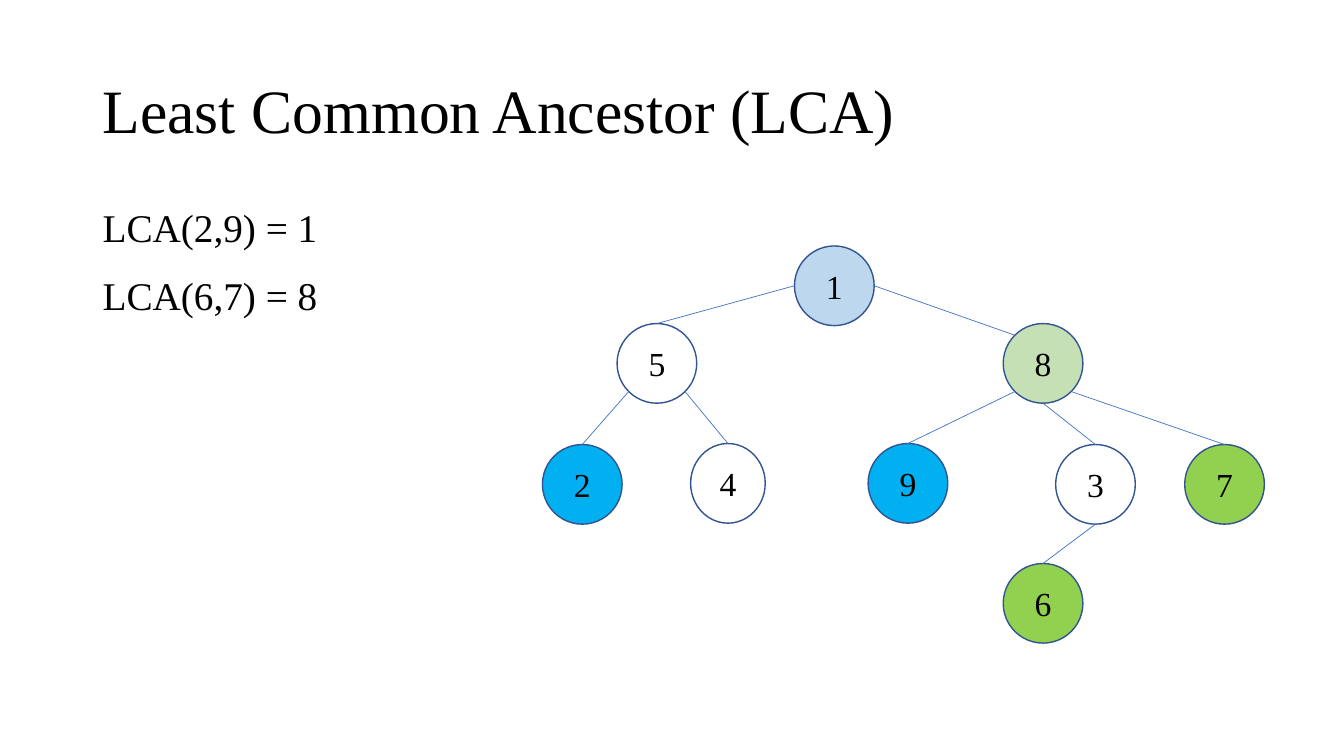
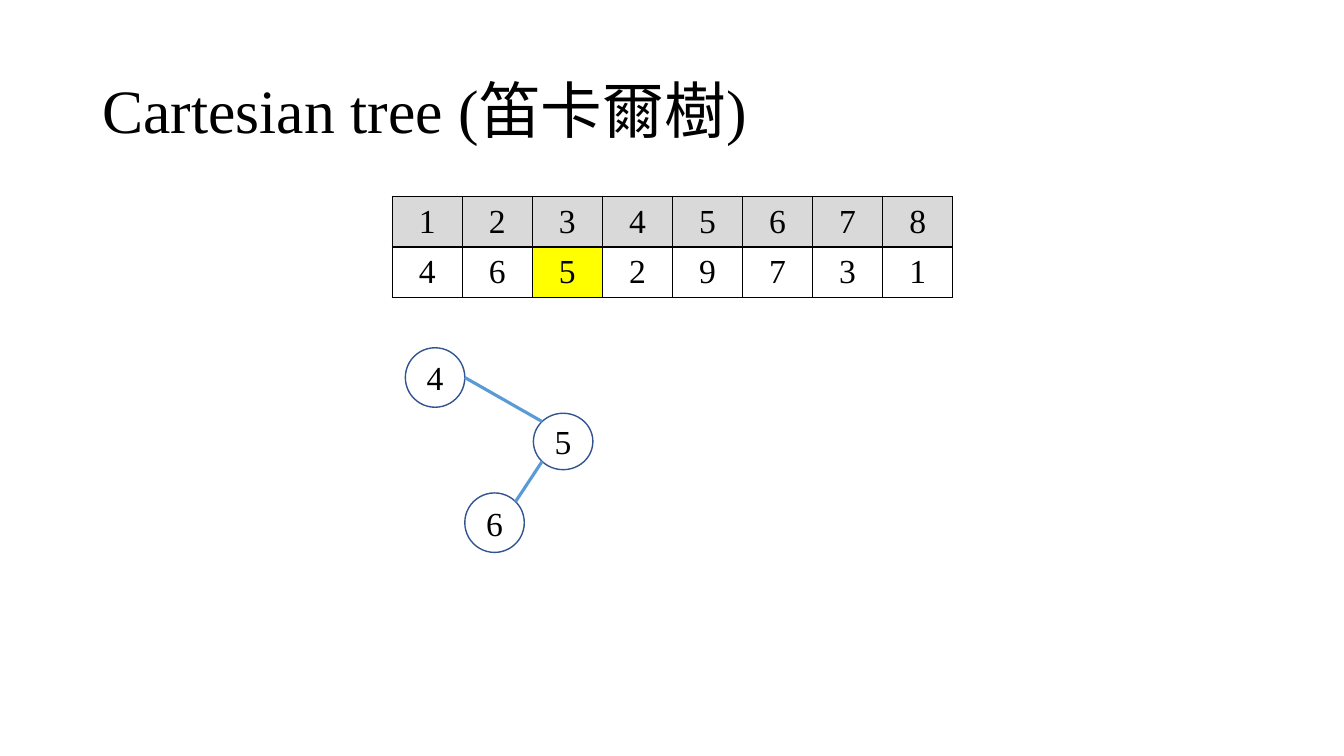
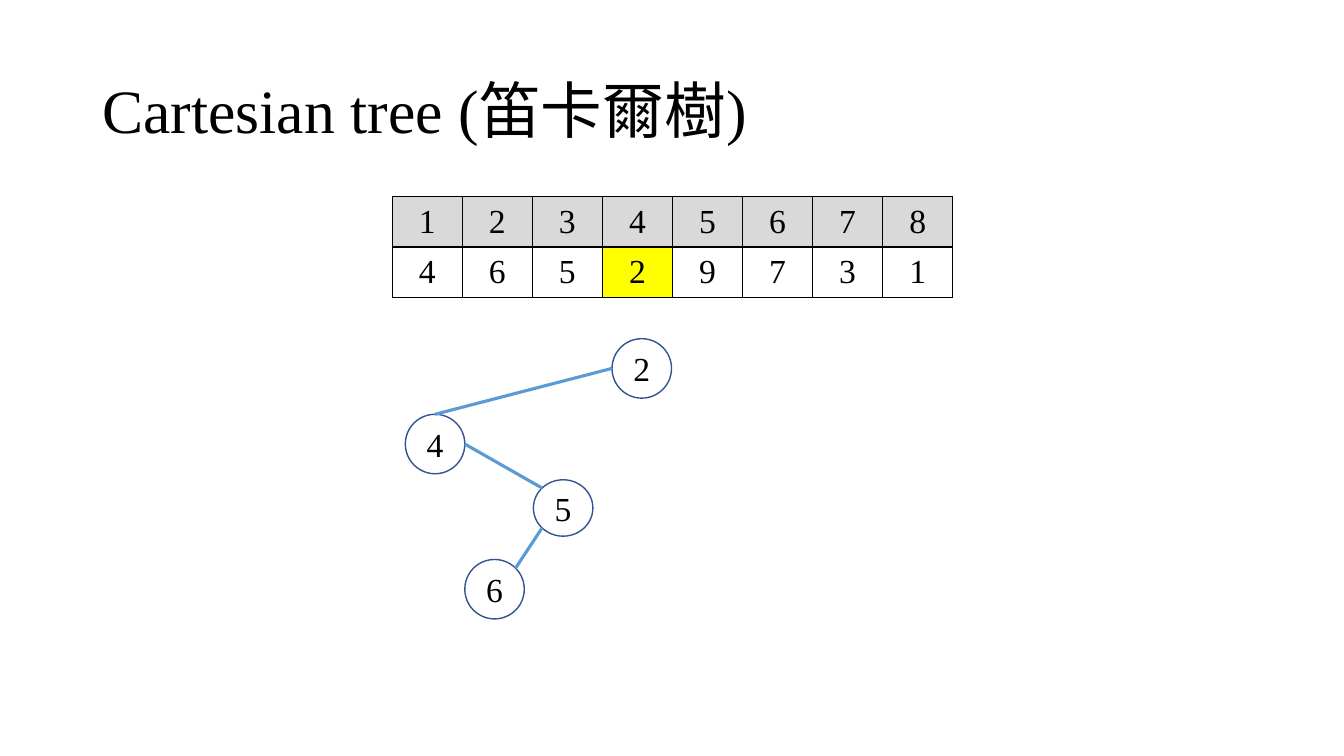
import math

from lxml import etree
from pptx import Presentation
from pptx import util as u
from pptx.dml.color import RGBColor
from pptx.enum import shapes, text
from pptx.oxml import ns

PX = 9144  # one hundredth of an inch
FONT = "Times New Roman"
CJK_FONT = "Noto Sans CJK SC"
COLORS = {
    "text": "000000",
    "white": "FFFFFF",
    "outline": "325491",
    "thin_edge": "4472C4",
    "thick_edge": "5B9BD5",
    "ancestor_blue": "BDD7EE",
    "blue": "00B0F0",
    "ancestor_green": "C5E0B4",
    "green": "92D050",
    "header": "D9D9D9",
    "current": "FFFF00",
}
# Directions of the points on a node where edges meet it, y pointing down
SITES = {"right": 0, "bottom right": 45, "bottom": 90, "bottom left": 135,
         "left": 180, "top left": 225, "top": 270, "top right": 315}

# label: (left, top, width, height, fill)
LCA_NODES = {
    "1": (250, 0, 79, 79, "ancestor_blue"),
    "5": (74, 77, 79, 79, None),
    "2": (0, 197, 79, 79, "blue"),
    "4": (147, 196, 74, 79, None),
    "8": (457, 77, 79, 79, "ancestor_green"),
    "9": (323, 196, 79, 79, "blue"),
    "3": (509, 197, 79, 79, None),
    "6": (457, 315, 79, 79, "green"),
    "7": (637, 197, 79, 79, "green"),
}
# (parent, site on parent, child, site on child)
LCA_EDGES = [
    ("1", "left", "5", "top"),
    ("5", "bottom left", "2", "top"),
    ("5", "bottom right", "4", "top"),
    ("1", "right", "8", "top left"),
    ("8", "bottom left", "9", "top"),
    ("8", "bottom right", "7", "top"),
    ("8", "bottom", "3", "top"),
    ("3", "bottom", "6", "top"),
]
THREE_NODES = {
    "4": (0, 0, 59, 59, "white"),
    "5": (127, 65, 59, 56, "white"),
    "6": (59, 144, 59, 59, "white"),
}
THREE_EDGES = [
    ("5", "bottom left", "6", "top right"),
    ("4", "right", "5", "top left"),
]
FOUR_NODES = THREE_NODES | {"2": (205, -75, 59, 59, "white")}
FOUR_EDGES = THREE_EDGES + [("2", "left", "4", "top")]
ARRAY = [4, 6, 5, 2, 9, 7, 3, 1]
CARTESIAN_TITLE = ["Cartesian tree (", "笛卡爾樹", ")"]


def px(*lengths):
    return [u.Emu(round(n * PX)) for n in lengths]


def rgb(name):
    return RGBColor.from_string(COLORS[name])


def style(p, size, align=None):
    p.alignment = align
    p.font.size = u.Pt(size)
    p.font.name = FONT
    p.font.color.rgb = rgb("text")


def add_text_box(s, x, y, w, h, anchor):
    tf = s.shapes.add_textbox(*px(x, y, w, h)).text_frame
    tf.word_wrap = True
    tf.vertical_anchor = anchor
    return tf


def add_title(s, parts):
    """Write the title runs; a run outside ASCII takes the CJK font."""
    p = add_text_box(s, 92, 40, 1150, 145, text.MSO_ANCHOR.MIDDLE).paragraphs[0]
    p.line_spacing = 0.9
    style(p, 44)
    for part in parts:
        r = p.add_run()
        r.text = part
        if not part.isascii():
            r.font.name = CJK_FONT
            etree.SubElement(r.font._element, ns.qn("a:ea"), typeface=CJK_FONT)


def add_body(s, lines):
    tf = add_text_box(s, 92, 200, 1150, 476, text.MSO_ANCHOR.TOP)
    for i, line in enumerate(lines):
        p = tf.add_paragraph() if i else tf.paragraphs[0]
        p.text = line
        p.line_spacing = u.Pt(31)
        if i:
            p.space_before = u.Pt(18)
        style(p, 28)


def add_node(parent, label, x, y, w, h, fill):
    sp = parent.add_shape(shapes.MSO_SHAPE.OVAL, *px(x, y, w, h))
    sp.shadow.inherit = False
    if fill:
        sp.fill.solid()
        sp.fill.fore_color.rgb = rgb(fill)
    else:
        sp.fill.background()
    sp.line.color.rgb = rgb("outline")
    sp.line.width = u.Pt(1)
    tf = sp.text_frame
    tf.vertical_anchor = text.MSO_ANCHOR.MIDDLE
    p = tf.paragraphs[0]
    p.text = label
    style(p, 24, text.PP_ALIGN.CENTER)
    return sp


def site_point(sp, site):
    angle = math.radians(SITES[site])
    return (u.Emu(round(sp.left + sp.width / 2 * (1 + math.cos(angle)))),
            u.Emu(round(sp.top + sp.height / 2 * (1 + math.sin(angle)))))


def add_tree(parent, x, y, nodes, edges, color, width):
    """Draw nodes, then edges, measured from the point (x, y)."""
    ovals = {label: add_node(parent, label, x + dx, y + dy, w, h, fill)
             for label, (dx, dy, w, h, fill) in nodes.items()}
    for start, start_site, end, end_site in edges:
        line = parent.add_connector(
            shapes.MSO_CONNECTOR.STRAIGHT,
            *site_point(ovals[start], start_site),
            *site_point(ovals[end], end_site))
        line.line.color.rgb = rgb(color)
        line.line.width = u.Pt(width)
        etree.SubElement(line._element.spPr, ns.qn("a:effectLst"))
        if end_site == "top":
            line.end_connect(ovals[end], 0)


def set_borders(cell):
    tc_pr = cell._tc.get_or_add_tcPr()
    for side in ("lnL", "lnR", "lnT", "lnB"):
        ln = etree.SubElement(tc_pr, ns.qn(f"a:{side}"), w=str(u.Pt(1)))
        fill = etree.SubElement(ln, ns.qn("a:solidFill"))
        etree.SubElement(fill, ns.qn("a:srgbClr"), val=COLORS["text"])


def add_array(s, x, y, w, h, current):
    """Table of positions over values, with the current position marked."""
    rows = [range(1, len(ARRAY) + 1), ARRAY]
    table = s.shapes.add_table(len(rows), len(ARRAY), *px(x, y, w, h)).table
    table.first_row = table.horz_banding = False
    edges = px(*(w * i / len(ARRAY) for i in range(len(ARRAY) + 1)))
    for col, left, right in zip(table.columns, edges, edges[1:]):
        col.width = u.Emu(right - left)
    for i, values in enumerate(rows):
        table.rows[i].height = px(h / len(rows))[0]
        for j, value in enumerate(values):
            cell = table.cell(i, j)
            set_borders(cell)
            cell.vertical_anchor = text.MSO_ANCHOR.MIDDLE
            cell.fill.solid()
            value_fill = "current" if j + 1 == current else "white"
            cell.fill.fore_color.rgb = rgb(value_fill if i else "header")
            p = cell.text_frame.paragraphs[0]
            p.text = str(value)
            style(p, 24, text.PP_ALIGN.CENTER)


def lca_slide(s):
    add_title(s, ["Least Common Ancestor (LCA)"])
    group = s.shapes.add_group_shape()
    add_tree(group.shapes, 538, 244, LCA_NODES, LCA_EDGES, "thin_edge", 0.5)
    add_body(s, ["LCA(2,9) = 1", "LCA(6,7) = 8"])


def cartesian_slide(s, current, tree_top, nodes, edges):
    add_title(s, CARTESIAN_TITLE)
    add_array(s, 389, 195, 556, 94, current)
    add_tree(s.shapes, 402, tree_top, nodes, edges, "thick_edge", 2.25)


def main():
    prs = Presentation()
    prs.slide_width, prs.slide_height = px(1333, 750)
    blank = prs.slide_layouts[6]
    lca_slide(prs.slides.add_slide(blank))
    cartesian_slide(prs.slides.add_slide(blank), 3, 345, THREE_NODES, THREE_EDGES)
    cartesian_slide(prs.slides.add_slide(blank), 4, 411, FOUR_NODES, FOUR_EDGES)
    prs.save("out.pptx")


if __name__ == "__main__":
    main()
